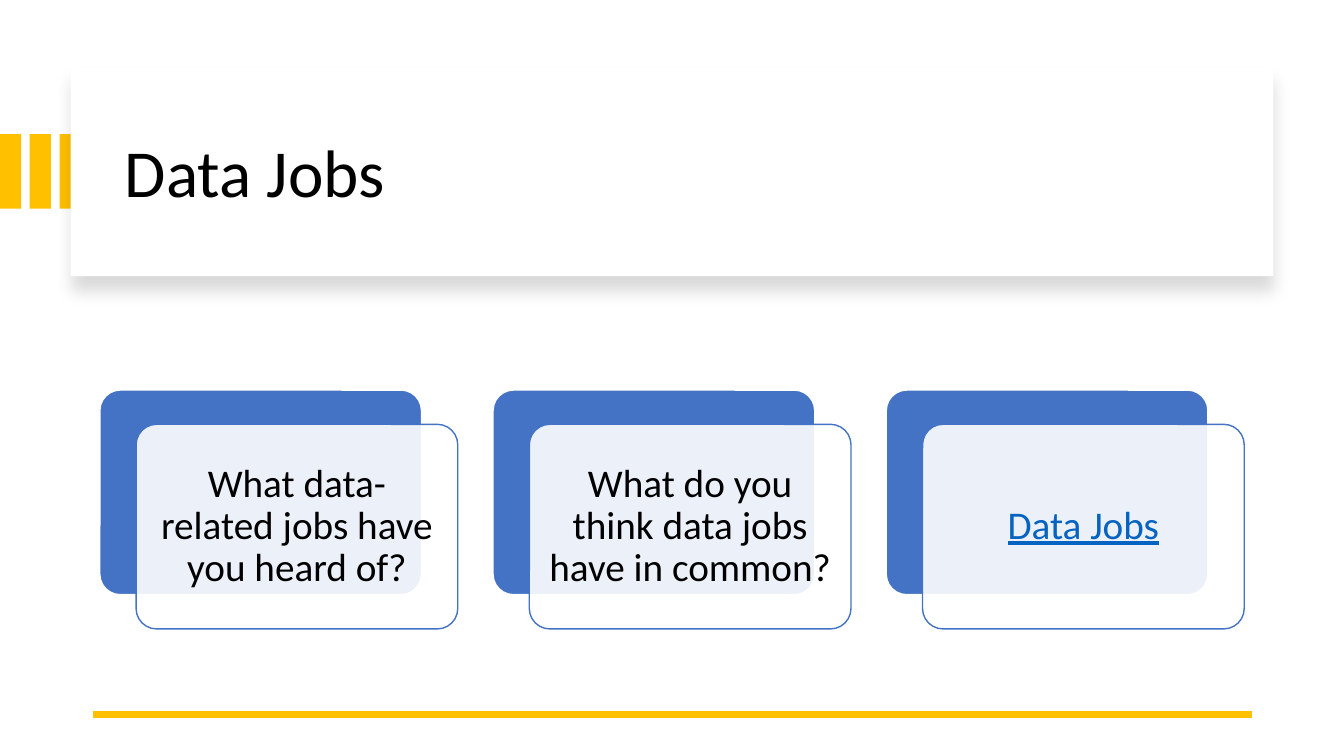
from dataclasses import dataclass

from lxml import etree
from pptx import Presentation
from pptx.dml.color import RGBColor
from pptx.enum.shapes import MSO_CONNECTOR, MSO_SHAPE
from pptx.enum.text import MSO_ANCHOR, PP_ALIGN
from pptx.oxml.ns import qn
from pptx.util import Inches, Pt

RECT, ROUNDED = MSO_SHAPE.RECTANGLE, MSO_SHAPE.ROUNDED_RECTANGLE
STRAIGHT = MSO_CONNECTOR.STRAIGHT
MIDDLE = MSO_ANCHOR.MIDDLE
LEFT, CENTER = PP_ALIGN.LEFT, PP_ALIGN.CENTER

TITLE = "Data Jobs"
# Card text, and whether it looks like a link
CARDS = [
    ("What data-related jobs have you heard of?", False),
    ("What do you think data jobs have in common?", False),
    ("Data Jobs", True),
]


@dataclass(frozen=True)
class Theme:
    font: str = "Calibri"
    title_size: float = 48
    card_size: float = 28
    text: str = "000000"
    link: str = "0563C1"
    paper: str = "FFFFFF"
    gold: str = "FFC000"
    blue: str = "4472C4"


THEME = Theme()

# Lengths in inches
STRIPE_COUNT, STRIPE_STEP = 3, 0.295
STRIPE_TOP, STRIPE_WIDTH, STRIPE_HEIGHT = 1.33, 0.21, 0.74
BANNER = (0.7, 0.67, 11.93, 2.07)
TITLE_BOX = (1.14, 0.89, 11.13, 1.7)
RULE_LEFT, RULE_RIGHT, RULE_Y = 0.92, 12.42, 7.09
CARD_LEFT, CARD_TOP, CARD_STEP = 0.99, 3.87, 3.9
CARD_WIDTH, CARD_HEIGHT = 3.19, 2.03
FRONT_DX, FRONT_DY = 0.36, 0.34
TEXT_MARGIN, TEXT_INSET = 0.06, 0.12


def rgb(value):
    return RGBColor.from_string(value)


def add_block(shapes, kind, box, fill, line=None):
    block = shapes.add_shape(kind, *map(Inches, box))
    block.shadow.inherit = False
    block.fill.solid()
    block.fill.fore_color.rgb = rgb(fill)
    if line:
        block.line.color.rgb = rgb(line)
        block.line.width = Pt(1)
    else:
        block.line.fill.background()
    if kind == ROUNDED:
        block.adjustments[0] = 0.1
    return block


def set_alpha(color_element, percent):
    etree.SubElement(color_element, qn("a:alpha"), val=str(percent * 1000))


def add_drop_shadow(block, alpha, blur, distance):
    """Cast a black shadow straight down; blur and distance in points."""
    effects = block._element.spPr.find(qn("a:effectLst"))
    shadow = etree.SubElement(
        effects, qn("a:outerShdw"), blurRad=str(Pt(blur)),
        dist=str(Pt(distance)), dir="5400000", algn="t", rotWithShape="0")
    set_alpha(etree.SubElement(shadow, qn("a:srgbClr"), val="000000"), alpha)


def add_text(shapes, box, text, *, size, color=THEME.text, align=LEFT,
             underline=False, inset=(0.1, 0.05)):
    label = shapes.add_textbox(*map(Inches, box))
    frame = label.text_frame
    frame.word_wrap = True
    frame.vertical_anchor = MIDDLE
    frame.margin_left = frame.margin_right = Inches(inset[0])
    frame.margin_top = frame.margin_bottom = Inches(inset[1])
    paragraph = frame.paragraphs[0]
    paragraph.alignment = align
    paragraph.line_spacing = 0.9
    run = paragraph.add_run()
    run.text = text
    run.font.name = THEME.font
    run.font.size = Pt(size)
    run.font.color.rgb = rgb(color)
    if underline:
        run.font.underline = True


def add_header(slide):
    stripes = slide.shapes.add_group_shape().shapes
    for i in range(STRIPE_COUNT):
        add_block(stripes, RECT,
                  (i * STRIPE_STEP, STRIPE_TOP, STRIPE_WIDTH, STRIPE_HEIGHT),
                  THEME.gold)
    banner = add_block(slide.shapes, RECT, BANNER, THEME.paper)
    add_drop_shadow(banner, alpha=15, blur=11, distance=10)
    add_text(slide.shapes, TITLE_BOX, TITLE, size=THEME.title_size)


def add_rule(slide):
    rule = slide.shapes.add_connector(
        STRAIGHT, Inches(RULE_RIGHT), Inches(RULE_Y),
        Inches(RULE_LEFT), Inches(RULE_Y))
    rule.line.color.rgb = rgb(THEME.gold)
    rule.line.width = Pt(4.5)
    etree.SubElement(rule._element.spPr, qn("a:effectLst"))


def add_card(shapes, left, text, is_link):
    add_block(shapes, ROUNDED, (left, CARD_TOP, CARD_WIDTH, CARD_HEIGHT),
              THEME.blue, line=THEME.paper)
    front_left, front_top = left + FRONT_DX, CARD_TOP + FRONT_DY
    front = add_block(shapes, ROUNDED,
                      (front_left, front_top, CARD_WIDTH, CARD_HEIGHT),
                      THEME.paper, line=THEME.blue)
    fill = front._element.spPr.find(qn("a:solidFill"))
    set_alpha(fill.find(qn("a:srgbClr")), 90)
    text_box = (front_left + TEXT_MARGIN, front_top + TEXT_MARGIN,
                CARD_WIDTH - 2 * TEXT_MARGIN, CARD_HEIGHT - 2 * TEXT_MARGIN)
    add_text(shapes, text_box, text, size=THEME.card_size, align=CENTER,
             color=THEME.link if is_link else THEME.text,
             underline=is_link, inset=(TEXT_INSET, TEXT_INSET))


def main():
    deck = Presentation()
    deck.slide_width, deck.slide_height = Inches(13.33), Inches(7.5)
    slide = deck.slides.add_slide(deck.slide_layouts[6])
    add_header(slide)
    add_rule(slide)
    cards = slide.shapes.add_group_shape().shapes
    for i, (text, is_link) in enumerate(CARDS):
        add_card(cards, CARD_LEFT + i * CARD_STEP, text, is_link)
    deck.save("out.pptx")


if __name__ == "__main__":
    main()
